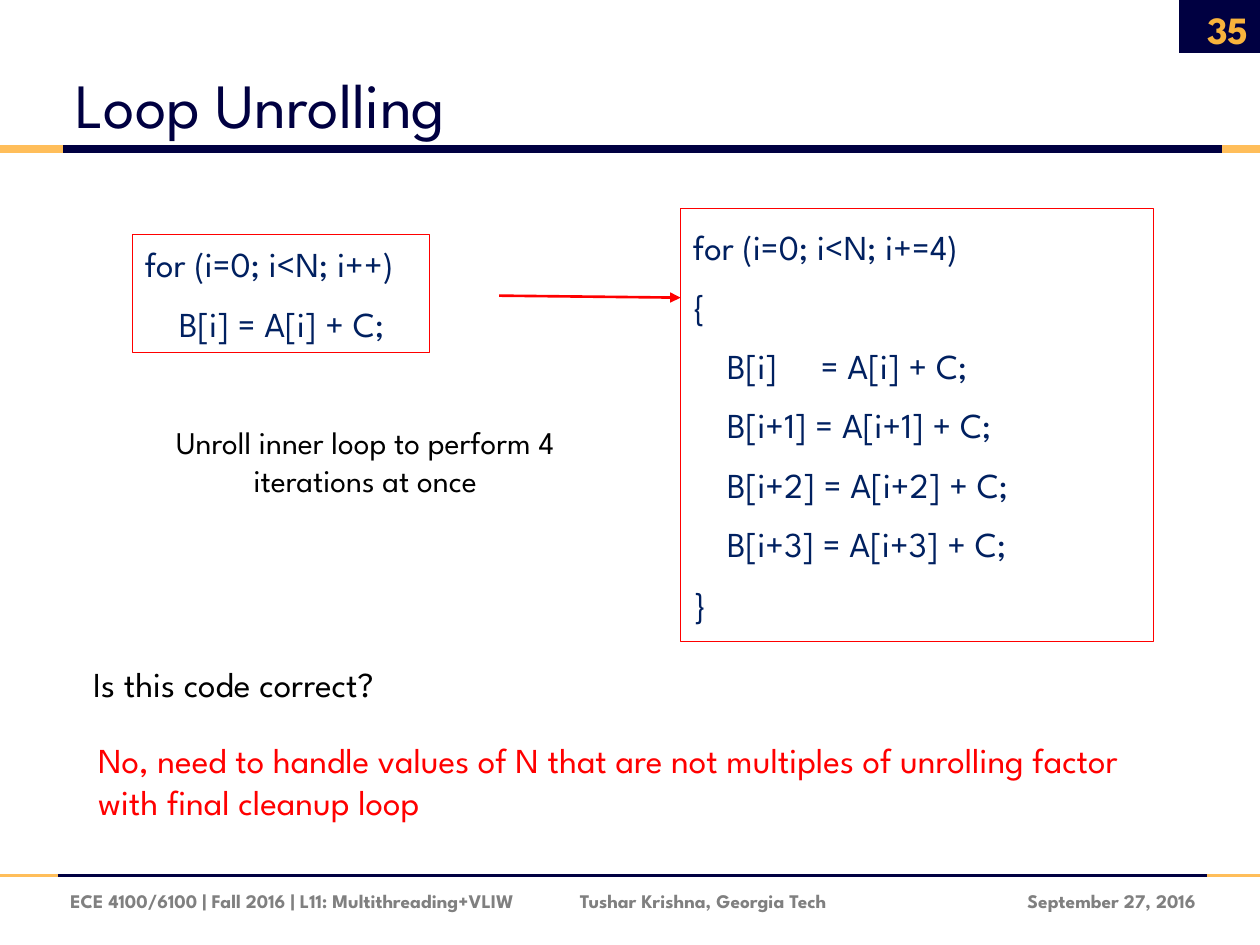
from lxml import etree
from pptx import Presentation
from pptx.dml.color import RGBColor
from pptx.enum import shapes, text
from pptx.oxml.ns import qn
from pptx.util import Cm, Pt

FONT = "League Spartan"
NAVY = RGBColor(0x00, 0x00, 0x41)
GOLD = RGBColor(0xFF, 0xBE, 0x5A)
AMBER = RGBColor(0xF8, 0xB3, 0x3C)
CODE_BLUE = RGBColor(0x00, 0x20, 0x60)
RED = RGBColor(0xFF, 0x00, 0x00)
BLACK = RGBColor(0x00, 0x00, 0x00)
GREY = RGBColor(0x80, 0x80, 0x80)

LEFT, CENTER, RIGHT = text.PP_ALIGN.LEFT, text.PP_ALIGN.CENTER, text.PP_ALIGN.RIGHT
TOP, MIDDLE, BOTTOM = text.MSO_ANCHOR.TOP, text.MSO_ANCHOR.MIDDLE, text.MSO_ANCHOR.BOTTOM

WIDTH, HEIGHT = 25.4, 19.05
CODE_TABS = (0.69, 2.58)

# y, start and end of the navy part, thickness in points
RULES = [(3.0, 1.27, 24.64, 4.5), (17.65, 1.17, 24.33, 2.25)]

# text, box (left, top, width, height), size, colour, bold, alignment, anchor
LABELS = [
    ("Loop Unrolling", (1.27, 0.43, 20.78, 2.54), 36, NAVY, False, LEFT, BOTTOM),
    ("35", (23.72, 0.08, 1.7, 1.02), 22, AMBER, True, RIGHT, MIDDLE),
    ("ECE 4100/6100 | Fall 2016 | L11: Multithreading+VLIW",
     (1.17, 17.65, 10.2, 1.02), 11, GREY, True, LEFT, MIDDLE),
    ("Tushar Krishna, Georgia Tech", (11.44, 17.65, 6.5, 1.02), 11, GREY, True, LEFT, MIDDLE),
    ("September 27, 2016", (19.48, 17.65, 4.88, 1.02), 11, GREY, True, RIGHT, MIDDLE),
]

# text, box, size, colour, alignment
REMARKS = [
    ("Unroll inner loop to perform 4 iterations at once",
     (2.31, 8.41, 10.11, 1.8), 18, BLACK, CENTER),
    ("Is this code correct?", (1.63, 13.23, 22.23, 1.09), 20, BLACK, LEFT),
    ("No, need to handle values of N that are not multiples of unrolling factor "
     "with final cleanup loop", (1.73, 14.76, 22.23, 1.96), 20, RED, LEFT),
]

CODE = [
    ((2.67, 4.72, 5.99, 2.39), ["for (i=0; i<N; i++)", "\tB[i] = A[i] + C;"]),
    ((13.72, 4.19, 9.53, 8.74), [
        "for (i=0; i<N; i+=4)",
        "{",
        "\tB[i]\t= A[i] + C;",
        *[f"\tB[i+{k}] = A[i+{k}] + C;" for k in (1, 2, 3)],
        "}",
    ]),
]


def write(shape, lines, size, color, bold=False, align=LEFT, anchor=TOP, before=0):
    tf = shape.text_frame
    tf.word_wrap = True
    tf.vertical_anchor = anchor
    tf.text = "\n".join(lines)
    for p in tf.paragraphs:
        p.alignment = align
        p.space_before = Pt(before)
        p.font.name, p.font.size, p.font.bold = FONT, Pt(size), bold
        p.font.color.rgb = color
    return tf


def add_box(s, box):
    sp = s.shapes.add_shape(shapes.MSO_SHAPE.RECTANGLE, *map(Cm, box))
    sp.shadow.inherit = False
    return sp


def add_line(s, start, end, color, width):
    line = s.shapes.add_connector(shapes.MSO_CONNECTOR.STRAIGHT, *map(Cm, (*start, *end)))
    line.line.color.rgb = color
    line.line.width = Pt(width)
    etree.SubElement(line._element.spPr, qn("a:effectLst"))
    return line


def add_code(s, box, lines):
    sp = add_box(s, box)
    sp.fill.background()
    sp.line.color.rgb = RED
    sp.line.width = Pt(0.25)
    tf = write(sp, lines, 20, CODE_BLUE, anchor=MIDDLE, before=10)
    for p in tf.paragraphs:
        pPr = p._p.get_or_add_pPr()
        stops = etree.Element(qn("a:tabLst"))
        for pos in CODE_TABS:
            etree.SubElement(stops, qn("a:tab"), pos=str(Cm(pos)), algn="l")
        pPr.find(qn("a:defRPr")).addprevious(stops)


def main():
    prs = Presentation()
    prs.slide_width, prs.slide_height = Cm(WIDTH), Cm(HEIGHT)
    s = prs.slides.add_slide(prs.slide_layouts[6])

    corner = add_box(s, (23.77, 0, WIDTH - 23.77, 1.07))
    corner.fill.solid()
    corner.fill.fore_color.rgb = NAVY
    corner.line.fill.background()

    for y, start, end, width in RULES:
        for x1, x2, color in ((0, start, GOLD), (start, end, NAVY), (end, WIDTH, GOLD)):
            add_line(s, (x1, y), (x2, y), color, width)

    for label, box, size, color, bold, align, anchor in LABELS:
        write(s.shapes.add_textbox(*map(Cm, box)), [label], size, color, bold, align, anchor)

    for box, lines in CODE:
        add_code(s, box, lines)

    arrow = add_line(s, (10.06, 5.96), (13.72, 6.0), RED, 1.5)
    etree.SubElement(arrow.line._get_or_add_ln(), qn("a:tailEnd"), type="triangle")

    for remark, box, size, color, align in REMARKS:
        write(s.shapes.add_textbox(*map(Cm, box)), [remark], size, color,
              align=align, before=size / 2)

    prs.save("out.pptx")


if __name__ == "__main__":
    main()
